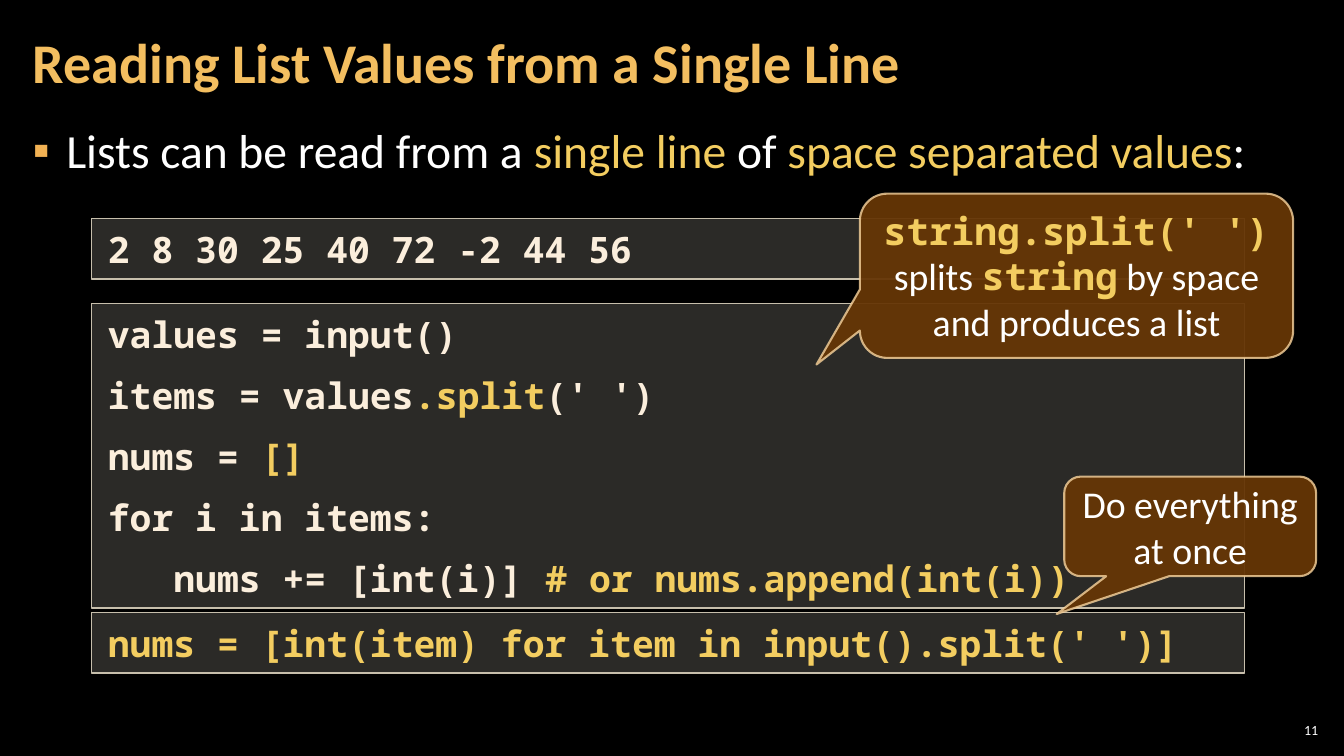
from lxml.etree import SubElement
from pptx import Presentation
from pptx.dml.color import RGBColor
from pptx.enum.shapes import MSO_SHAPE
from pptx.enum.text import MSO_ANCHOR, MSO_AUTO_SIZE, PP_ALIGN
from pptx.oxml.ns import qn
from pptx.util import Cm, Pt

BLACK = RGBColor(0x00, 0x00, 0x00)
WHITE = RGBColor(0xFF, 0xFF, 0xFF)
CREAM = RGBColor(0xFB, 0xEE, 0xDC)
YELLOW = RGBColor(0xF3, 0xCD, 0x60)
TITLE_GOLD = RGBColor(0xF3, 0xBE, 0x60)
BULLET_GOLD = RGBColor(0xF2, 0xB2, 0x54)
CODE_FILL = RGBColor(0xD9, 0xD5, 0xC7)
CODE_LINE = RGBColor(0xC7, 0xBF, 0xAC)
CALLOUT_FILL = RGBColor(0x66, 0x36, 0x06)
CALLOUT_LINE = RGBColor(0xF8, 0xD4, 0x9E)

BODY_FONT = "Calibri"
CODE_FONT = "Noto Sans Mono"
CODE_LEFT, CODE_WIDTH = 2.31, 29.06


def place(shape, left, top, width, height):
    shape.left, shape.top = Cm(left), Cm(top)
    shape.width, shape.height = Cm(width), Cm(height)


def set_frame(shape, anchor, side, edge):
    frame = shape.text_frame
    frame.word_wrap = True
    frame.auto_size = MSO_AUTO_SIZE.NONE
    frame.vertical_anchor = anchor
    frame.margin_left = frame.margin_right = Cm(side)
    frame.margin_top = frame.margin_bottom = Cm(edge)
    return frame


def set_font(font, name, size, bold=False):
    font.name, font.size, font.bold = name, Pt(size), bold


def add_runs(paragraph, pieces):
    for text, color in pieces:
        run = paragraph.add_run()
        run.text = text
        run.font.color.rgb = color


def set_alpha(shape, color_path, percent):
    color = shape.element.xpath(color_path)[0]
    SubElement(color, qn("a:alpha")).set("val", str(percent * 1000))


def add_panel(slide, kind, box, fill, opacity, line, line_width):
    shape = slide.shapes.add_shape(kind, *[Cm(length) for length in box])
    shape.shadow.inherit = False
    shape.fill.solid()
    shape.fill.fore_color.rgb = fill
    set_alpha(shape, "p:spPr/a:solidFill/a:srgbClr", opacity)
    shape.line.color.rgb = line
    shape.line.width = Pt(line_width)
    return shape


def add_code(slide, top, height, lines):
    box = (CODE_LEFT, top, CODE_WIDTH, height)
    shape = add_panel(slide, MSO_SHAPE.RECTANGLE, box, CODE_FILL, 20, CODE_LINE, 1)
    frame = set_frame(shape, MSO_ANCHOR.TOP, 0.41, 0.2)
    for index, pieces in enumerate(lines):
        paragraph = frame.add_paragraph() if index else frame.paragraphs[0]
        paragraph.alignment = PP_ALIGN.LEFT
        paragraph.line_spacing = Pt(31.6)
        paragraph.space_before = Pt(12 if index else 0)
        set_font(paragraph.font, CODE_FONT, 26, True)
        add_runs(paragraph, pieces)


def add_callout(slide, box, tip, pieces):
    shape = add_panel(slide, MSO_SHAPE.ROUNDED_RECTANGULAR_CALLOUT, box,
                      CALLOUT_FILL, 95, CALLOUT_LINE, 1.5)
    set_alpha(shape, "p:spPr/a:ln/a:solidFill/a:srgbClr", 80)
    shape.adjustments[0], shape.adjustments[1] = tip
    frame = set_frame(shape, MSO_ANCHOR.MIDDLE, 0.25, 0.13)
    paragraph = frame.paragraphs[0]
    paragraph.alignment = PP_ALIGN.CENTER
    paragraph.line_spacing = Pt(32.4)
    add_runs(paragraph, pieces)
    for run in paragraph.runs:
        is_code = run.font.color.rgb == YELLOW
        set_font(run.font, CODE_FONT if is_code else BODY_FONT, 27, is_code)


def fill_title(title, text):
    place(title, 0.53, 0.1, 26.59, 3.07)
    paragraph = set_frame(title, MSO_ANCHOR.MIDDLE, 0.3, 0.1).paragraphs[0]
    paragraph.alignment = PP_ALIGN.LEFT
    paragraph.line_spacing = 0.9
    set_font(paragraph.font, BODY_FONT, 40, True)
    add_runs(paragraph, [(text, TITLE_GOLD)])


def fill_body(body, pieces):
    place(body, 0.53, 3.12, 32.79, 15.47)
    paragraph = set_frame(body, MSO_ANCHOR.TOP, 0.3, 0.1).paragraphs[0]
    properties = paragraph._p.get_or_add_pPr()
    properties.set("marL", str(Cm(0.84)))
    properties.set("indent", str(-Cm(0.84)))
    bullet_color = SubElement(properties, qn("a:buClr"))
    SubElement(bullet_color, qn("a:srgbClr")).set("val", str(BULLET_GOLD))
    SubElement(properties, qn("a:buFont")).set("typeface", BODY_FONT)
    SubElement(properties, qn("a:buChar")).set("char", "▪")
    paragraph.line_spacing = 0.9
    paragraph.space_before = paragraph.space_after = Pt(6)
    set_font(paragraph.font, BODY_FONT, 34)
    add_runs(paragraph, pieces)


def add_page_number(slide, number):
    box = slide.shapes.add_textbox(Cm(32.13), Cm(18.14), Cm(1.19), Cm(0.53))
    paragraph = set_frame(box, MSO_ANCHOR.MIDDLE, 0.1, 0.1).paragraphs[0]
    paragraph.alignment = PP_ALIGN.RIGHT
    set_font(paragraph.font, BODY_FONT, 10)
    add_runs(paragraph, [(number, WHITE)])


def main():
    presentation = Presentation()
    presentation.slide_width, presentation.slide_height = Cm(33.87), Cm(19.05)
    slide = presentation.slides.add_slide(presentation.slide_layouts[1])
    slide.background.fill.solid()
    slide.background.fill.fore_color.rgb = BLACK

    fill_title(slide.shapes.title, "Reading List Values from a Single Line")
    fill_body(slide.placeholders[1], [
        ("Lists can be read from a ", WHITE), ("single line ", YELLOW),
        ("of ", WHITE), ("space separated values", YELLOW), (":", WHITE)])
    add_page_number(slide, "11")

    add_code(slide, 7.65, 7.67, [
        [("values = input()", CREAM)],
        [("items = values", CREAM), (".split", YELLOW), ("(' ')", CREAM)],
        [("nums = ", CREAM), ("[]", YELLOW)],
        [("for i in items:", CREAM)],
        [("   nums += [int(i)] ", CREAM), ("# or nums.append(int(i))", YELLOW)]])
    add_code(slide, 5.51, 1.52, [[("2 8 30 25 40 72 -2 44 56", CREAM)]])
    add_callout(slide, (21.67, 4.88, 10.92, 4.14), (-0.6, 0.54), [
        ("string.split(' ')", YELLOW), (" splits ", WHITE),
        ("string", YELLOW), (" by space and produces a list", WHITE)])
    add_code(slide, 15.44, 1.52, [
        [("nums = [int(item) for item in input().split(' ')]", YELLOW)]])
    add_callout(slide, (26.82, 12.01, 6.35, 2.51), (-0.53, 0.88),
                [("Do everything at once", WHITE)])

    presentation.save("out.pptx")


if __name__ == "__main__":
    main()
